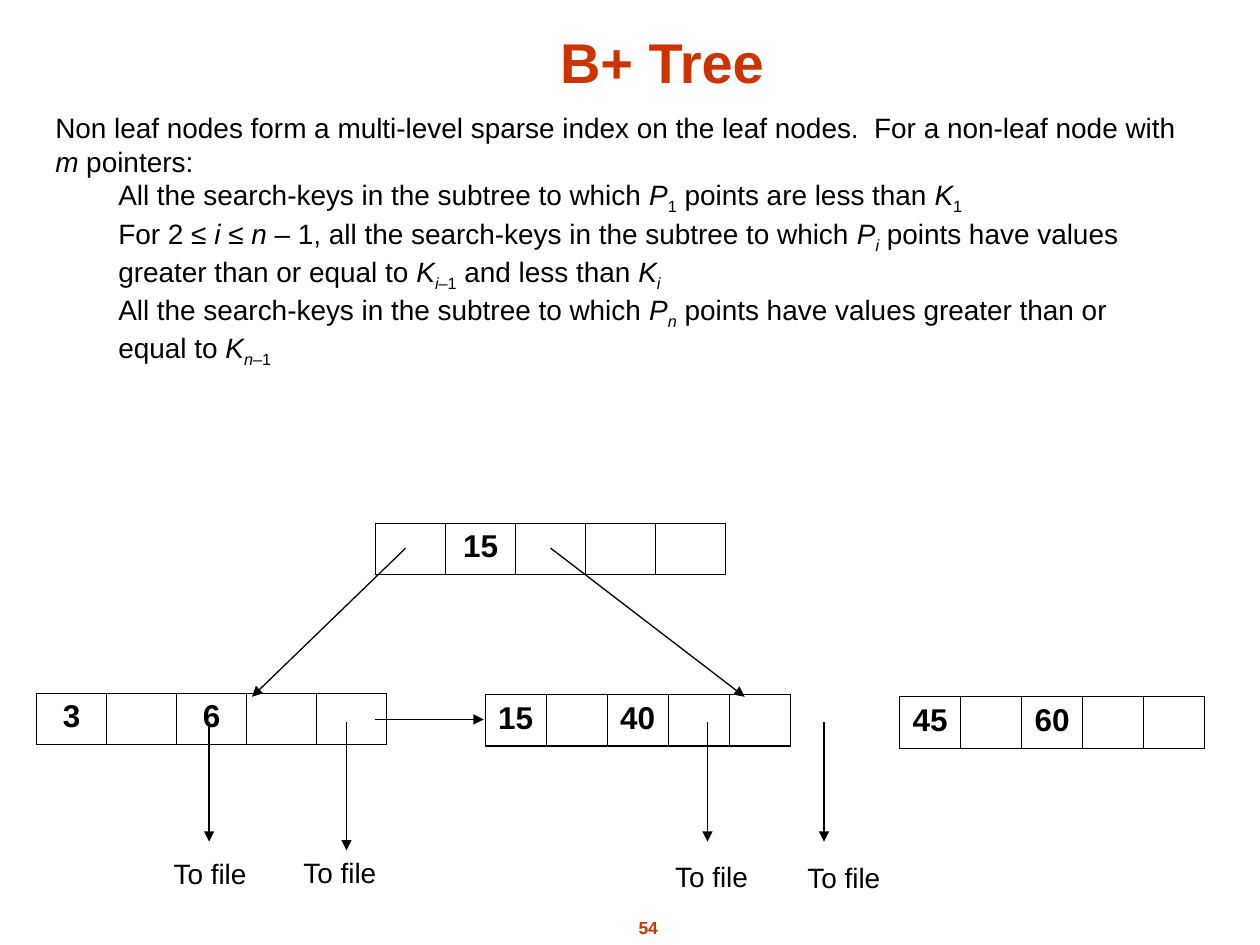
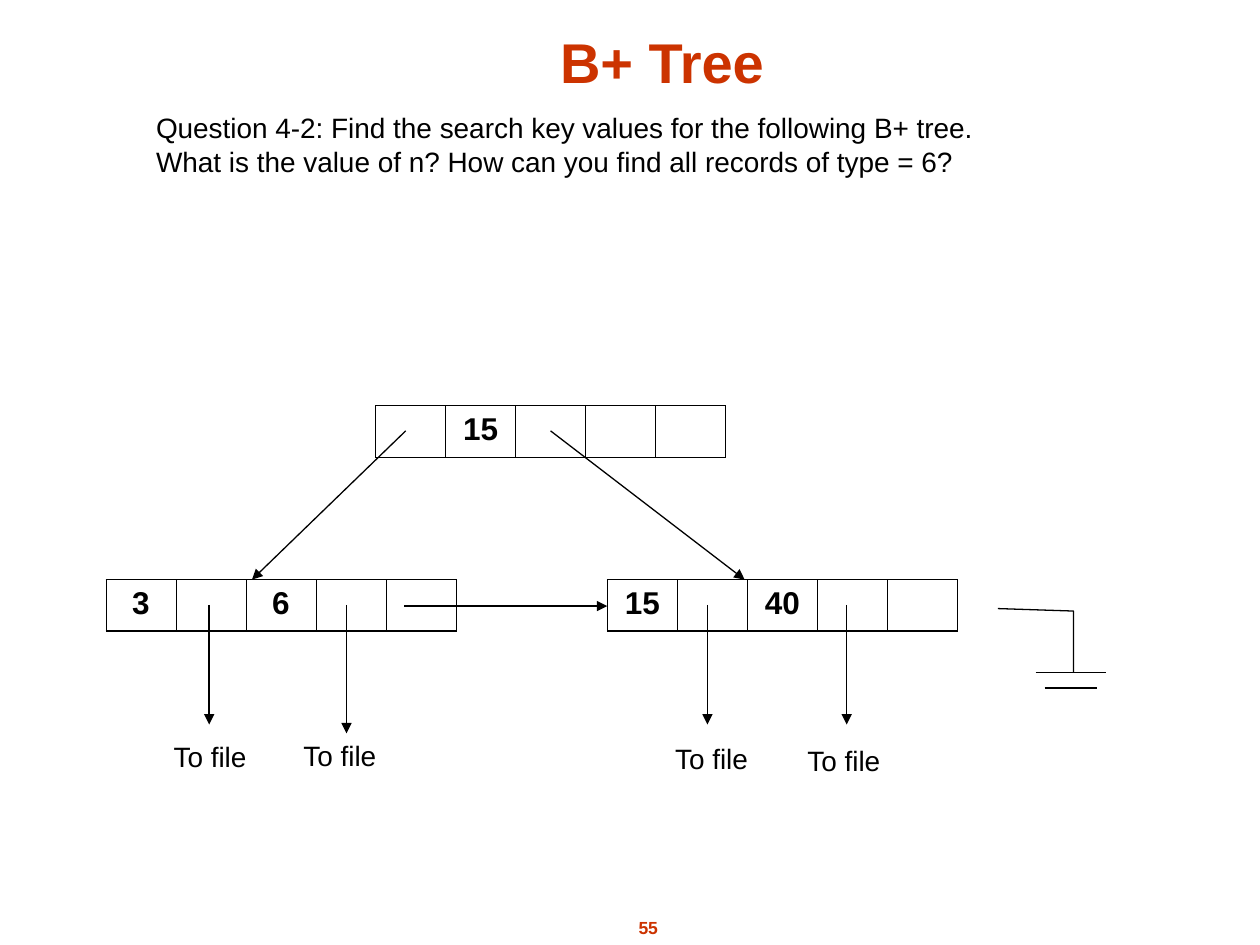
from lxml import etree
from pptx import Presentation
from pptx.dml.color import RGBColor
from pptx.enum.shapes import MSO_CONNECTOR
from pptx.enum.text import MSO_ANCHOR, PP_ALIGN
from pptx.oxml.ns import qn
from pptx.util import Inches, Pt

STRAIGHT = MSO_CONNECTOR.STRAIGHT
CENTER = PP_ALIGN.CENTER
BOTTOM = MSO_ANCHOR.BOTTOM

FONT = "Arial"
COLORS = {"accent": "CC3300", "ink": "000000"}
LINE_WIDTH = Pt(0.75)
BORDER_WIDTHS = {"a:lnL": Pt(0.45), "a:lnR": Pt(0.45),
                 "a:lnT": Pt(0.45), "a:lnB": Pt(0.96)}
NODE_CELLS = 5
NODE_WIDTH = 2.78
NARROW_NODE_WIDTH = 2.42
NODE_HEIGHT = 0.41
ROOT_LEFT = 2.98

# Rich text: (text, style) with "i" for italic and "s" for subscript
POINTER_RULES = [
    [("Non leaf nodes form a multi-level sparse index on the leaf nodes.  "
      "For a non-leaf node with ", ""), ("m", "i"), (" pointers:", "")],
    [("All the search-keys in the subtree to which ", ""), ("P", "i"), ("1", "s"),
     (" points are less than ", ""), ("K", "i"), ("1", "s")],
    [("For 2 ≤ ", ""), ("i ", "i"), ("≤ ", ""), ("n ", "i"),
     ("– 1, all the search-keys in the subtree to which ", ""),
     ("P", "i"), ("i", "is"),
     (" points have values greater than or equal to ", ""),
     ("K", "i"), ("i", "is"), ("–1", "s"),
     (" and less than ", ""), ("K", "i"), ("i", "is")],
    [("All the search-keys in the subtree to which ", ""), ("P", "i"), ("n", "is"),
     (" points have values greater than or equal to ", ""),
     ("K", "i"), ("n", "is"), ("–1", "s")],
]
QUESTION = [[("Question 4-2: Find the search key values for the following B+ tree. "
              "What is the value of n? How can you find all records of type = 6?", "")]]


def color(name):
    return RGBColor.from_string(COLORS[name])


def style_font(font, size, color_name="ink", bold=False):
    font.name = FONT
    font.size = Pt(size)
    font.bold = bold
    font.color.rgb = color(color_name)


def add_label(slide, text, left, top, width, height, size,
              color_name="ink", bold=False, wrap=True):
    """Add a one-paragraph text box and return its shape."""
    shape = slide.shapes.add_textbox(
        Inches(left), Inches(top), Inches(width), Inches(height))
    shape.text_frame.word_wrap = wrap
    paragraph = shape.text_frame.paragraphs[0]
    paragraph.text = text
    style_font(paragraph.runs[0].font, size, color_name, bold)
    return shape


def add_frame(slide, title, page):
    """Add the title and page number that every slide carries."""
    title_box = add_label(slide, title, 0.84, 0.13, 8.83, 0.67, 32, "accent", True)
    title_box.text_frame.vertical_anchor = BOTTOM
    page_box = add_label(slide, str(page), 4.71, 7.23, 0.87, 0.27, 10,
                         "accent", True, wrap=False)
    for shape in (title_box, page_box):
        shape.text_frame.paragraphs[0].alignment = CENTER


def add_body(slide, paragraphs, left, width, height):
    """Add rich text: a lead paragraph, then indented ones."""
    shape = slide.shapes.add_textbox(
        Inches(left), Inches(0.83), Inches(width), Inches(height))
    text_frame = shape.text_frame
    text_frame.word_wrap = True
    for index, parts in enumerate(paragraphs):
        paragraph = text_frame.add_paragraph() if index else text_frame.paragraphs[0]
        if index:
            paragraph.level = 1
            paragraph._p.get_or_add_pPr().set("marL", str(Inches(0.5)))
        for text, style in parts:
            run = paragraph.add_run()
            run.text = text
            style_font(run.font, 16)
            run.font.italic = "i" in style
            if "s" in style:
                run.font._element.set("baseline", "-25000")


def set_borders(cell):
    properties = cell._tc.get_or_add_tcPr()
    for tag, width in BORDER_WIDTHS.items():
        border = etree.SubElement(properties, qn(tag), w=str(width))
        fill = etree.SubElement(border, qn("a:solidFill"))
        etree.SubElement(fill, qn("a:srgbClr"), val=COLORS["ink"])


def add_node(slide, keys, left, top, width=NODE_WIDTH):
    """Add a tree node; keys maps a cell index to its search key."""
    table = slide.shapes.add_table(
        1, NODE_CELLS, Inches(left), Inches(top),
        Inches(width), Inches(NODE_HEIGHT)).table
    table.first_row = table.horz_banding = False
    for index in range(NODE_CELLS):
        table.columns[index].width = Inches(width / NODE_CELLS)
        cell = table.cell(0, index)
        set_borders(cell)
        cell.fill.background()
        if index in keys:
            paragraph = cell.text_frame.paragraphs[0]
            paragraph.text = str(keys[index])
            paragraph.alignment = CENTER
            style_font(paragraph.runs[0].font, 18, bold=True)


def add_line(slide, start, end, arrow=True):
    connector = slide.shapes.add_connector(
        STRAIGHT, *(Inches(value) for value in (*start, *end)))
    connector.line.color.rgb = color("ink")
    connector.line.width = LINE_WIDTH
    if arrow:
        etree.SubElement(connector.line._get_or_add_ln(), qn("a:tailEnd"),
                         type="triangle")
    etree.SubElement(connector._element.spPr, qn("a:effectLst"))


def add_ground(slide):
    """Add the null-pointer symbol that ends the leaf chain."""
    builder = slide.shapes.build_freeform(Inches(7.92), Inches(4.83))
    builder.add_line_segments(
        [(Inches(8.52), Inches(4.85)), (Inches(8.52), Inches(5.34))], close=False)
    wire = builder.convert_to_shape()
    wire.shadow.inherit = False
    wire.fill.background()
    wire.line.color.rgb = color("ink")
    wire.line.width = LINE_WIDTH
    add_line(slide, (8.22, 5.34), (8.78, 5.34), arrow=False)
    add_line(slide, (8.29, 5.46), (8.71, 5.46), arrow=False)


def add_tree(slide, root_top, leaves, last_record_x, leaf_link):
    """Add root, leaves and pointers, all placed from the top of the root."""
    for leaf in leaves:
        add_node(slide, *leaf)
    add_node(slide, {1: 15}, ROOT_LEFT, root_top)

    # Root to leaf pointers
    for start_x, end_x in ((3.22, 2), (4.37, 5.91)):
        add_line(slide, (start_x, root_top + 0.2), (end_x, root_top + 1.38))

    # Leaf to leaf pointer
    link_start, link_end, link_y = leaf_link
    add_line(slide, (link_start, link_y), (link_end, link_y))

    # Record pointers: arrow x, arrow length, label left, label offset
    records = ((1.66, 0.95, 1.28, 2.6), (2.75, 1.02, 2.31, 2.59),
               (5.615, 0.95, 5.26, 2.62), (last_record_x, 0.95, 6.31, 2.63))
    for x, length, label_left, label_offset in records:
        top = root_top + 1.58
        add_line(slide, (x, top), (x, top + length))
        add_label(slide, "To file", label_left, root_top + label_offset,
                  0.83, 0.37, 16)


def main():
    presentation = Presentation()
    presentation.slide_width = Inches(10)
    presentation.slide_height = Inches(7.5)
    blank = presentation.slide_layouts[6]

    # Rules for non-leaf nodes
    slide = presentation.slides.add_slide(blank)
    add_frame(slide, "B+ Tree", 54)
    add_body(slide, POINTER_RULES, 0.34, 9.11, 2.15)
    add_tree(slide, 4.15,
             [({0: 3, 2: 6}, 0.29, 5.5),
              ({0: 15, 2: 40}, 3.85, 5.51, NARROW_NODE_WIDTH),
              ({0: 45, 2: 60}, 7.14, 5.53, NARROW_NODE_WIDTH)],
             last_record_x=6.54, leaf_link=(2.98, 3.84, 5.71))

    # Question on the tree
    slide = presentation.slides.add_slide(blank)
    add_frame(slide, "B+ Tree", 55)
    add_body(slide, QUESTION, 1.14, 7, 0.64)
    add_tree(slide, 3.22,
             [({0: 3, 2: 6}, 0.84, 4.6), ({0: 15, 2: 40}, 4.82, 4.6)],
             last_record_x=6.72, leaf_link=(3.21, 4.82, 4.81))
    add_ground(slide)

    presentation.save("out.pptx")


if __name__ == "__main__":
    main()
